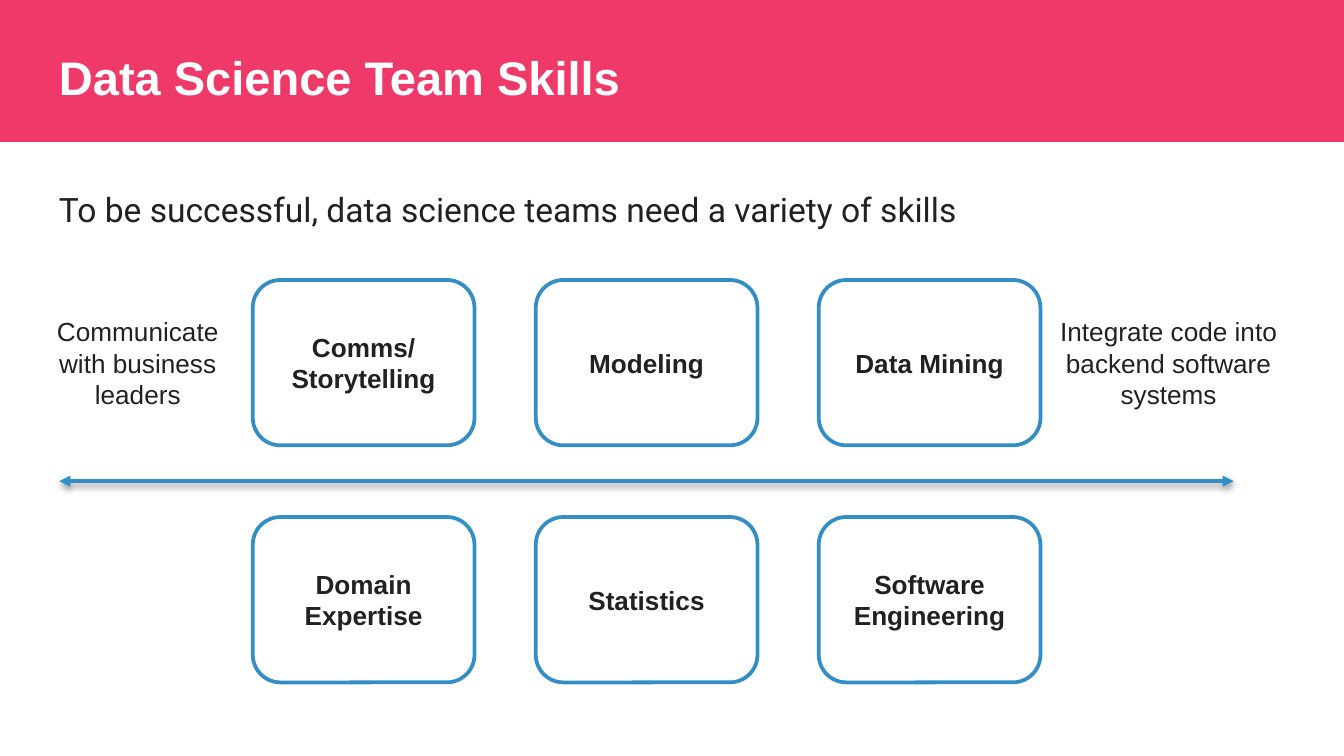
from dataclasses import dataclass

from lxml import etree
from pptx import Presentation
from pptx.dml.color import RGBColor
from pptx.enum.shapes import MSO_CONNECTOR, MSO_SHAPE
from pptx.enum.text import MSO_ANCHOR, PP_ALIGN
from pptx.oxml.ns import qn
from pptx.util import Pt

RECT, ROUNDED = MSO_SHAPE.RECTANGLE, MSO_SHAPE.ROUNDED_RECTANGLE
STRAIGHT = MSO_CONNECTOR.STRAIGHT
LEFT, CENTER = PP_ALIGN.LEFT, PP_ALIGN.CENTER
TOP, MIDDLE, BOTTOM = MSO_ANCHOR.TOP, MSO_ANCHOR.MIDDLE, MSO_ANCHOR.BOTTOM


@dataclass(frozen=True)
class Theme:
    banner: RGBColor = RGBColor(0xEF, 0x39, 0x69)
    accent: RGBColor = RGBColor(0x32, 0x8E, 0xC4)
    ink: RGBColor = RGBColor(0x21, 0x21, 0x21)
    white: RGBColor = RGBColor(0xFF, 0xFF, 0xFF)
    font: str = "Arial"
    lead_font: str = "Roboto"
    title_size: float = 25.2
    lead_size: float = 18
    label_size: float = 14
    line_width: float = 2


THEME = Theme()
LABEL = {"name": THEME.font, "size": Pt(THEME.label_size), "color": THEME.ink, "bold": False}
SKILL = {**LABEL, "bold": True}
TITLE = {**SKILL, "size": Pt(THEME.title_size), "color": THEME.white}
LEAD = {**LABEL, "name": THEME.lead_font, "size": Pt(THEME.lead_size)}

SKILL_ROWS = [
    ["Comms/\nStorytelling", "Modeling", "Data Mining"],
    ["Domain Expertise", "Statistics", "Software Engineering"],
]


def write(sp, text, style, align=LEFT, anchor=TOP, inset=0, spacing=None):
    tf = sp.text_frame
    frame = {"word_wrap": True, "vertical_anchor": anchor}
    frame.update({f"margin_{side}": Pt(inset) for side in ("left", "top", "right", "bottom")})
    for name, value in frame.items():
        setattr(tf, name, value)
    tf.text = text
    for p in tf.paragraphs:
        p.alignment = align
        p.line_spacing = spacing
        for r in p.runs:
            for name, value in style.items():
                if name == "color":
                    r.font.color.rgb = value
                else:
                    setattr(r.font, name, value)


def add_text(s, box, text, style, **layout):
    sp = s.shapes.add_textbox(*map(Pt, box))
    write(sp, text, style, **layout)


def add_box(s, kind, box, fill):
    sp = s.shapes.add_shape(kind, *map(Pt, box))
    sp.shadow.inherit = False
    sp.fill.solid()
    sp.fill.fore_color.rgb = fill
    sp.line.fill.background()
    return sp


def add_header(s, box):
    x, y, w, h = box
    add_box(s, RECT, box, THEME.banner)
    add_text(s, (x + 24.5, y + 18, w - 49, 45.4), "Data Science Team Skills", TITLE,
             anchor=BOTTOM, inset=7.2)


def add_skill_grid(s, box, rows, size):
    x, y, w, h = box
    card_w, card_h = size
    step_x = (w - card_w) / (len(rows[0]) - 1)
    step_y = (h - card_h) / (len(rows) - 1)
    for i, row in enumerate(rows):
        for j, skill in enumerate(row):
            card = add_box(s, ROUNDED, (x + j * step_x, y + i * step_y, card_w, card_h), THEME.white)
            card.line.color.rgb = THEME.accent
            card.line.width = Pt(THEME.line_width)
            write(card, skill, SKILL, align=CENTER, anchor=MIDDLE, inset=3.6)


def add_spectrum(s, box):
    x, y, w, h = box
    arrow = s.shapes.add_connector(STRAIGHT, *map(Pt, (x, y, x + w, y + h)))
    arrow.line.color.rgb = THEME.accent
    arrow.line.width = Pt(THEME.line_width)
    ln = arrow.line._get_or_add_ln()
    for end in ("a:headEnd", "a:tailEnd"):
        etree.SubElement(ln, qn(end), type="triangle")
    effects = etree.SubElement(arrow._element.spPr, qn("a:effectLst"))
    shadow = etree.SubElement(effects, qn("a:outerShdw"), blurRad=str(Pt(3)), dist=str(Pt(1.6)),
                              dir="5400000", rotWithShape="0")
    color = etree.SubElement(shadow, qn("a:srgbClr"), val="000000")
    etree.SubElement(color, qn("a:alpha"), val="38000")


def main():
    prs = Presentation()
    prs.slide_width, prs.slide_height = Pt(720), Pt(405)
    s = prs.slides.add_slide(prs.slide_layouts[6])
    add_header(s, (0, 0, 720, 76))
    add_text(s, (24.5, 90.7, 671, 269), "To be successful, data science teams need a variety of skills",
             LEAD, inset=7.2, spacing=1.15)
    add_text(s, (18, 169.2, 111.6, 51), "Communicate with business leaders", LABEL, align=CENTER)
    add_text(s, (566, 169.2, 120.2, 51), "Integrate code into backend software systems", LABEL,
             align=CENTER)
    add_spectrum(s, (31.7, 257.8, 629.3, 0))
    add_skill_grid(s, (135.4, 150, 422, 215.6), SKILL_ROWS, (118.8, 88.6))
    prs.save("out.pptx")


if __name__ == "__main__":
    main()
